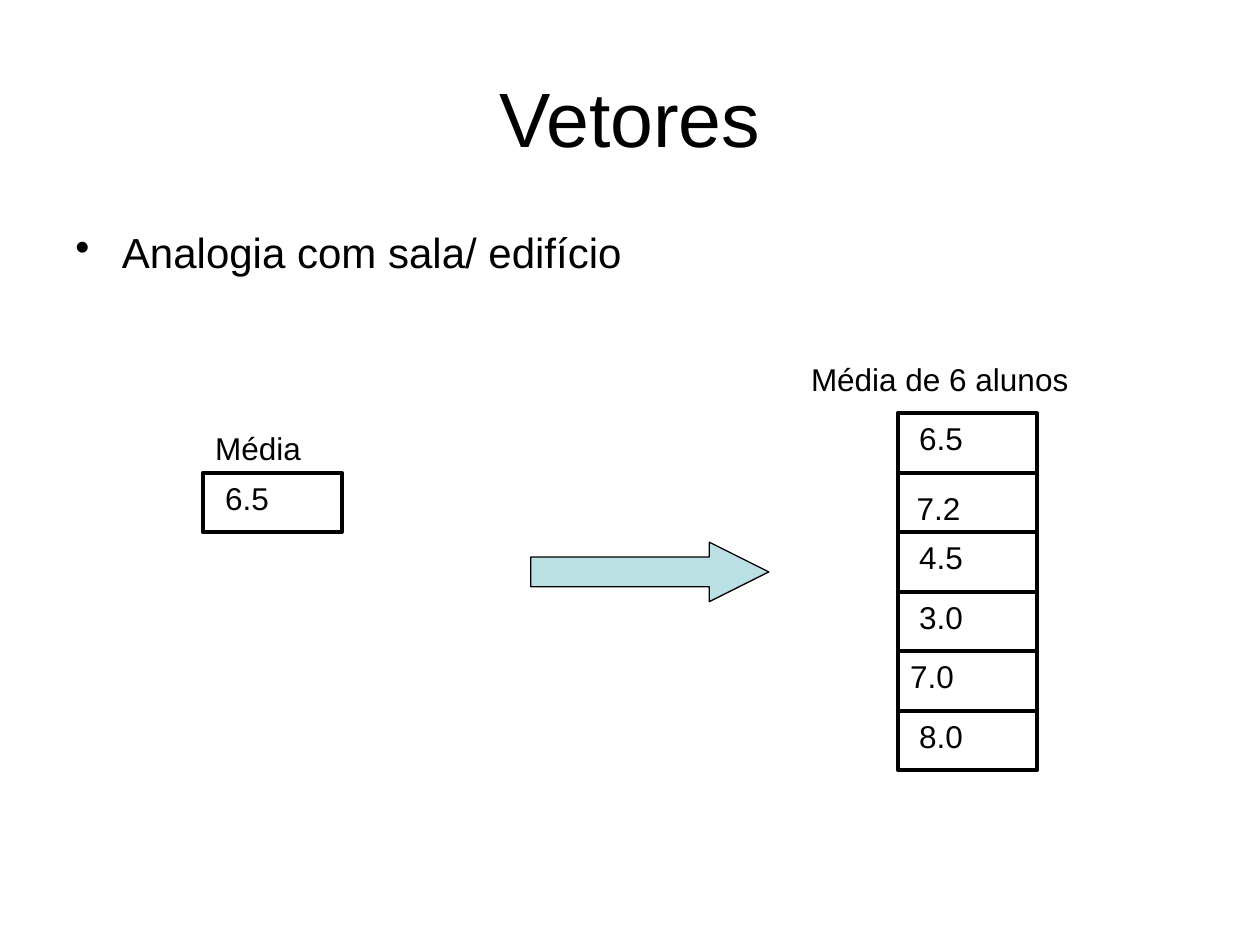
import pptx
import pptx.dml.color
import pptx.enum.shapes
import pptx.enum.text
import pptx.oxml.ns
import pptx.util
from lxml import etree
from pptx.util import Cm

THEME = {
    "font": "Arial",
    "ink": "000000",
    "arrow": "BBE0E3",
    "title_size": 44,
    "body_size": 24,
    "label_size": 18,
    "cell_line": 2.25,
    "arrow_line": 0.75,
}

TITLE = "Vetores"
BULLET = "Analogia com sala/ edifício"
ROOM = {"label": "Média", "value": "6.5"}
BUILDING_LABEL = "Média de 6 alunos"
# Each floor: value, then the text's offset from the cell corner in cm
FLOORS = [
    ("6.5", 0.18, 0),
    ("7.2", 0.13, 0.2),
    ("4.5", 0.18, 0),
    ("3.0", 0.18, 0),
    ("7.0", 0, 0),
    ("8.0", 0.18, 0),
]

CELL_WIDTH, CELL_HEIGHT = 2.8, 1.2
TEXT_HEIGHT = 1.02
ROOM_LEFT, ROOM_TOP = 4.09, 9.53
BUILDING_LEFT, BUILDING_TOP = 18.1, 8.33


def color(name):
    return pptx.dml.color.RGBColor.from_string(THEME[name])


def add_text(shapes, text, left, top, width, height, size="label_size",
             alignment=pptx.enum.text.PP_ALIGN.LEFT,
             anchor=pptx.enum.text.MSO_ANCHOR.TOP):
    box = shapes.add_textbox(Cm(left), Cm(top), Cm(width), Cm(height))
    frame = box.text_frame
    frame.word_wrap = True
    frame.vertical_anchor = anchor
    paragraph = frame.paragraphs[0]
    paragraph.alignment = alignment
    run = paragraph.add_run()
    run.text = text
    run.font.name = THEME["font"]
    run.font.size = pptx.util.Pt(THEME[size])
    run.font.color.rgb = color("ink")
    return paragraph


def add_bullet(paragraph, indent):
    properties = paragraph._p.get_or_add_pPr()
    properties.set("marL", str(Cm(indent)))
    properties.set("indent", str(-Cm(indent)))
    bullet = etree.SubElement(properties, pptx.oxml.ns.qn("a:buChar"))
    bullet.set("char", "•")


def add_outlined(shapes, kind, left, top, width, height, line_width, fill=None):
    shape = shapes.add_shape(kind, Cm(left), Cm(top), Cm(width), Cm(height))
    shape.shadow.inherit = False
    if fill:
        shape.fill.solid()
        shape.fill.fore_color.rgb = color(fill)
    else:
        shape.fill.background()
    shape.line.color.rgb = color("ink")
    shape.line.width = pptx.util.Pt(THEME[line_width])
    return shape


def add_cell(shapes, left, top):
    add_outlined(shapes, pptx.enum.shapes.MSO_SHAPE.RECTANGLE,
                 left, top, CELL_WIDTH, CELL_HEIGHT, "cell_line")


def add_room(shapes):
    add_cell(shapes, ROOM_LEFT, ROOM_TOP)
    add_text(shapes, ROOM["label"], ROOM_LEFT, ROOM_TOP - 1, CELL_WIDTH, TEXT_HEIGHT)
    add_text(shapes, ROOM["value"], ROOM_LEFT + 0.2, ROOM_TOP, 2.4, TEXT_HEIGHT)


def add_building(shapes):
    add_text(shapes, BUILDING_LABEL, 16.1, 7.14, 6.8, TEXT_HEIGHT)
    floors = shapes.add_group_shape().shapes
    for index, (value, offset_x, offset_y) in enumerate(FLOORS):
        top = BUILDING_TOP + index * CELL_HEIGHT
        add_cell(floors, BUILDING_LEFT, top)
        add_text(floors, value, BUILDING_LEFT + offset_x, top + offset_y,
                 1.4, TEXT_HEIGHT)


def main():
    presentation = pptx.Presentation()
    presentation.slide_width = Cm(25.4)
    presentation.slide_height = Cm(19.05)
    slide = presentation.slides.add_slide(presentation.slide_layouts[6])
    shapes = slide.shapes

    add_text(shapes, TITLE, 1.27, 0.76, 22.86, 3.18, "title_size",
             pptx.enum.text.PP_ALIGN.CENTER, pptx.enum.text.MSO_ANCHOR.MIDDLE)
    add_bullet(add_text(shapes, BULLET, 1.27, 4.45, 23.62, 6.07, "body_size"), 0.94)
    add_room(shapes)
    add_building(shapes)
    arrow = add_outlined(shapes, pptx.enum.shapes.MSO_SHAPE.RIGHT_ARROW,
                         10.7, 10.93, 4.8, CELL_HEIGHT, "arrow_line", "arrow")
    arrow.adjustments[0] = 0.5
    arrow.adjustments[1] = 1

    presentation.save("out.pptx")


if __name__ == "__main__":
    main()
